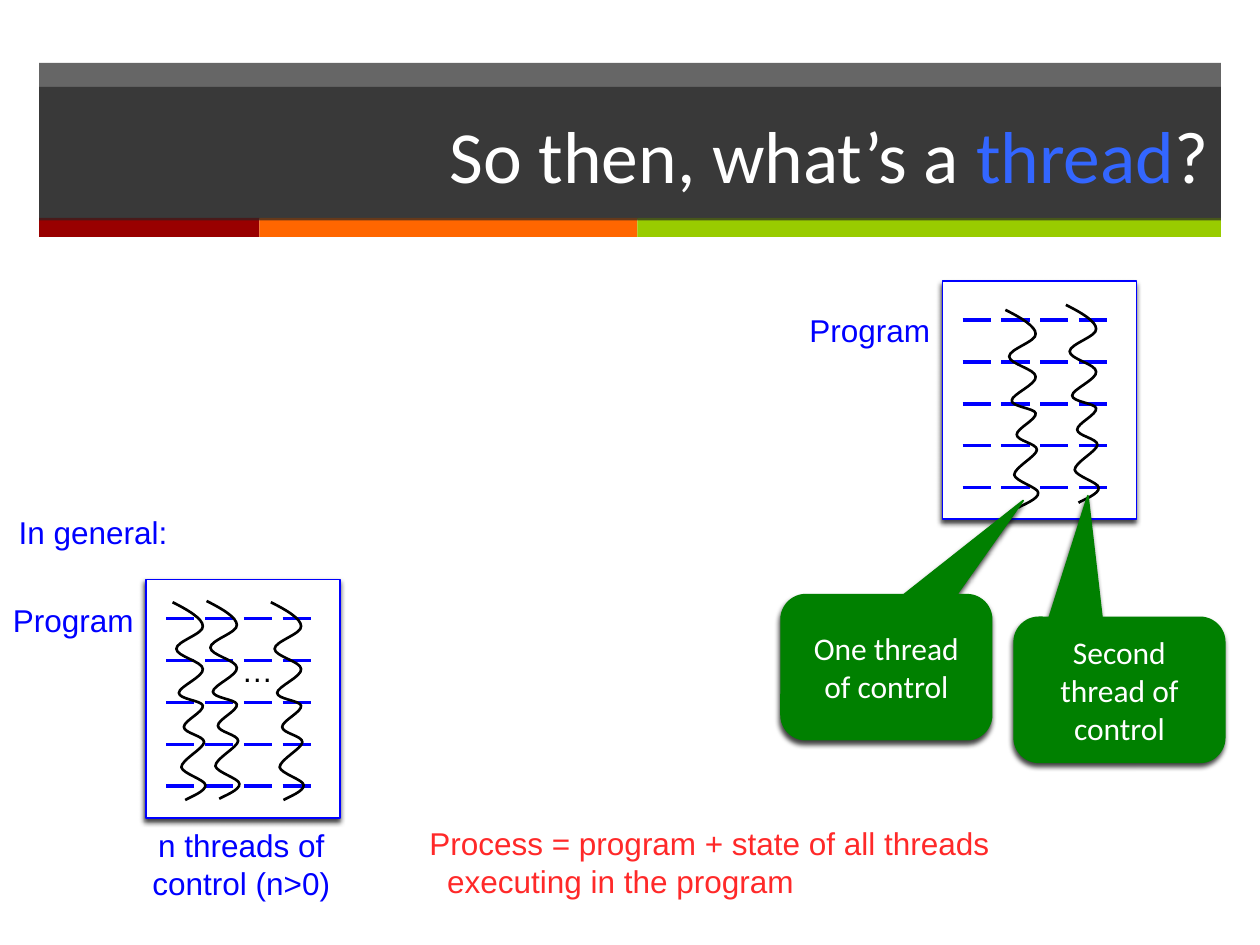
import pptx
import pptx.util
import pptx.dml.color
import pptx.enum.shapes
import pptx.enum.text
import pptx.enum.dml
import pptx.oxml
from lxml import etree

Inches = pptx.util.Inches
Pt = pptx.util.Pt
RGBColor = pptx.dml.color.RGBColor
SHAPE = pptx.enum.shapes.MSO_SHAPE
ALIGN = pptx.enum.text.PP_ALIGN
ANCHOR = pptx.enum.text.MSO_ANCHOR
NS = "http://schemas.openxmlformats.org/drawingml/2006/main"

WHITE = RGBColor(0xFF, 0xFF, 0xFF)
BLACK = RGBColor(0, 0, 0)
CHARCOAL = RGBColor(0x26, 0x26, 0x26)
BLUE = RGBColor(0, 0, 0xFF)
SKY = RGBColor(0x33, 0x66, 0xFF)
GREEN = RGBColor(0, 0x80, 0)
RED = RGBColor(0xFF, 0x29, 0x29)

BAND_LEFT, BAND_WIDTH = 0.31, 9.38
BACK_BAND, TITLE_BAND = (0.5, 1.24), (0.69, 1.06)
STRIPES = [
    (1.75, RGBColor(0x99, 0, 0)),
    (3, RGBColor(0xFF, 0x66, 0)),
    (4.63, RGBColor(0x99, 0xCC, 0)),
]
TITLE = [("So then, what’s a ", WHITE), ("thread", SKY), ("?", WHITE)]

PROGRAMS = [
    {"corner": (7.48, 2.23), "threads": [(7.98, 2.46), (8.46, 2.42)]},
    {"corner": (1.16, 4.6), "threads": [(1.37, 4.78), (2.15, 4.78), (1.64, 4.77)]},
]
PROGRAM_SIZE = (1.54, 1.89)
CODE_LINES, CODE_TOP, CODE_HEIGHT = 5, 0.31, 1.33
THREAD_CURVE = [
    ((0.12, 0.06), (0.24, 0.13), (0.24, 0.19)),
    ((0.25, 0.25), (0.03, 0.31), (0.03, 0.37)),
    ((0.03, 0.43), (0.24, 0.47), (0.24, 0.53)),
    ((0.25, 0.59), (0.05, 0.67), (0.05, 0.72)),
    ((0.05, 0.77), (0.23, 0.78), (0.24, 0.82)),
    ((0.25, 0.87), (0.09, 0.94), (0.09, 0.99)),
    ((0.09, 1.04), (0.25, 1.06), (0.25, 1.11)),
    ((0.25, 1.16), (0.07, 1.25), (0.07, 1.31)),
    ((0.08, 1.36), (0.26, 1.41), (0.26, 1.45)),
    ((0.27, 1.5), (0.13, 1.55), (0.1, 1.57)),
]

CALLOUTS = [
    ("One thread of control", (6.2, 4.72), (0.65, -1.15, 0.17)),
    ("Second thread of control", (8.05, 4.9), (-0.15, -1.34, 0.17)),
]
LABELS = [
    ("Program", (6.2, 2.42, 1.28, 0.4), ALIGN.RIGHT, BLUE),
    ("Program", (-0.12, 4.72, 1.28, 0.4), ALIGN.RIGHT, BLUE),
    ("In general:", (0.05, 4.02, 1.54, 0.4), ALIGN.LEFT, BLUE),
    ("n threads of control (n>0)", (0.96, 6.51, 1.91, 0.71), ALIGN.CENTER, BLUE),
    ("…", (1.82, 5.12, 0.5, 0.4), ALIGN.LEFT, BLACK),
]
DEFINITION = "Process = program + state of all threads\vexecuting in the program"
DEFINITION_PLACE = (3.31, 6.49, 5.71, 0.71)

deck = pptx.Presentation()
deck.slide_width, deck.slide_height = Inches(10), Inches(7.5)
slide = deck.slides.add_slide(deck.slide_layouts[6])
shapes = slide.shapes


def style(target, values):
    for name, value in values.items():
        setattr(target, name, value)


def add_block(kind, place, fill, line=None):
    block = shapes.add_shape(kind, *map(Inches, place))
    block.shadow.inherit = False
    block.fill.solid()
    block.fill.fore_color.rgb = fill
    if line is None:
        block.line.fill.background()
    else:
        block.line.color.rgb = line
        block.line.width = Pt(1)
    return block


def add_band(top, height):
    band = add_block(SHAPE.RECTANGLE, (BAND_LEFT, top, BAND_WIDTH, height), CHARCOAL)
    color = band._element.spPr.find(f".//{{{NS}}}srgbClr")
    etree.SubElement(color, f"{{{NS}}}alpha", val="70000")
    return band


def cast_shadow(block):
    effects = block._element.spPr.find(f"{{{NS}}}effectLst")
    effects.append(pptx.oxml.parse_xml(
        f'<a:outerShdw xmlns:a="{NS}" blurRad="{Pt(3)}" dist="{Pt(2)}" dir="6600000" '
        'rotWithShape="0"><a:srgbClr val="000000"><a:alpha val="75000"/></a:srgbClr>'
        '</a:outerShdw>'))


def write(frame, runs, align, size, font):
    frame.word_wrap = True
    paragraph = frame.paragraphs[0]
    paragraph.alignment = align
    for text, color in runs:
        for index, part in enumerate(text.split("\v")):
            if index:
                paragraph.add_line_break()
            run = paragraph.add_run()
            run.text = part
            style(run.font, {"size": Pt(size), "name": font})
            run.font.color.rgb = color
    return paragraph


def add_label(text, place, align, color):
    label = shapes.add_textbox(*map(Inches, place))
    label.text_frame.auto_size = pptx.enum.text.MSO_AUTO_SIZE.SHAPE_TO_FIT_TEXT
    return write(label.text_frame, [(text, color)], align, 18, "Arial")


def add_code_line(left, right, y):
    code = shapes.add_connector(pptx.enum.shapes.MSO_CONNECTOR.STRAIGHT,
                                Inches(left), Inches(y), Inches(right), Inches(y))
    style(code.line, {"width": Pt(2), "dash_style": pptx.enum.dml.MSO_LINE.LONG_DASH})
    code.line.color.rgb = BLUE
    etree.SubElement(code._element.spPr, f"{{{NS}}}effectLst")


def add_thread(left, top):
    builder = shapes.build_freeform(Inches(left), Inches(top))
    builder.add_line_segments([(Inches(left + x), Inches(top + y))
                               for curve in THREAD_CURVE for x, y in curve], close=False)
    thread = builder.convert_to_shape()
    corners = thread._element.spPr.findall(f".//{{{NS}}}lnTo")
    outline = corners[0].getparent()
    for first in range(0, len(corners), 3):
        bend = etree.SubElement(outline, f"{{{NS}}}cubicBezTo")
        for corner in corners[first:first + 3]:
            bend.append(corner[0])
            outline.remove(corner)
    thread.shadow.inherit = False
    thread.fill.background()
    thread.line.color.rgb = BLACK
    thread.line.width = Pt(1.5)


add_band(*BACK_BAND)
stripe_left = BAND_LEFT
for width, color in STRIPES:
    add_block(SHAPE.RECTANGLE, (stripe_left, 1.73, width, 0.15), color)
    stripe_left += width

title_frame = add_band(*TITLE_BAND).text_frame
title_frame.vertical_anchor = ANCHOR.MIDDLE
write(title_frame, TITLE, ALIGN.RIGHT, 42, "Calibri")

for program in PROGRAMS:
    left, top = program["corner"]
    cast_shadow(add_block(SHAPE.RECTANGLE, (left, top, *PROGRAM_SIZE), WHITE, BLUE))
    for row in range(CODE_LINES):
        y = top + CODE_TOP + row * CODE_HEIGHT / (CODE_LINES - 1)
        add_code_line(left + 0.16, left + 1.32, y)
    for thread_start in program["threads"]:
        add_thread(*thread_start)

for text, corner, adjustments in CALLOUTS:
    callout = add_block(SHAPE.ROUNDED_RECTANGULAR_CALLOUT, (*corner, 1.67, 1.15), GREEN, GREEN)
    for index, value in enumerate(adjustments):
        callout.adjustments[index] = value
    cast_shadow(callout)
    callout.text_frame.vertical_anchor = ANCHOR.MIDDLE
    write(callout.text_frame, [(text, WHITE)], ALIGN.CENTER, 18, "Calibri")

for label in LABELS:
    add_label(*label)

definition = add_label(DEFINITION, DEFINITION_PLACE, ALIGN.LEFT, RED)
hanging = Inches(0.14)
for name, value in {"marL": hanging, "indent": -hanging}.items():
    definition._p.get_or_add_pPr().set(name, str(value))

deck.save("out.pptx")
